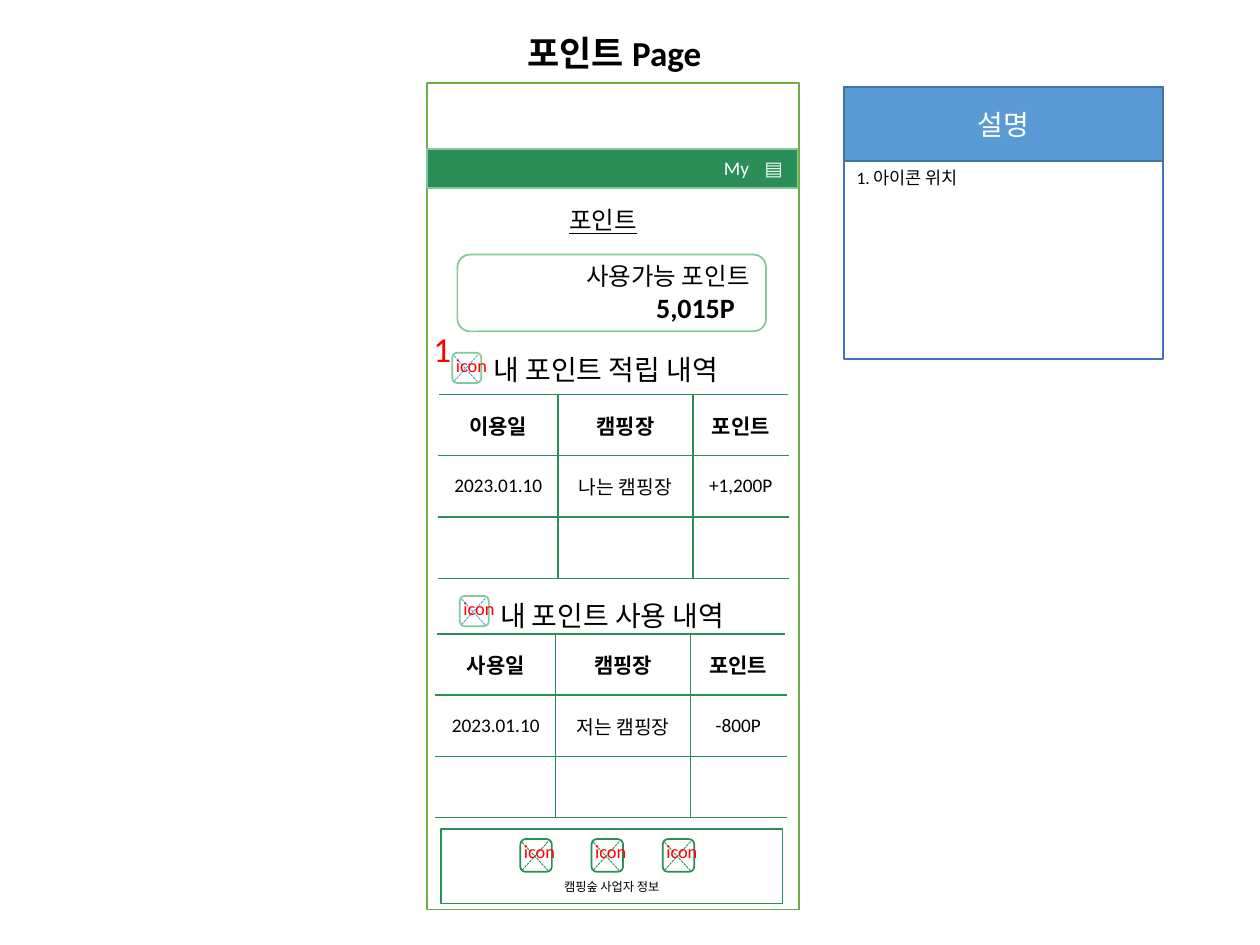
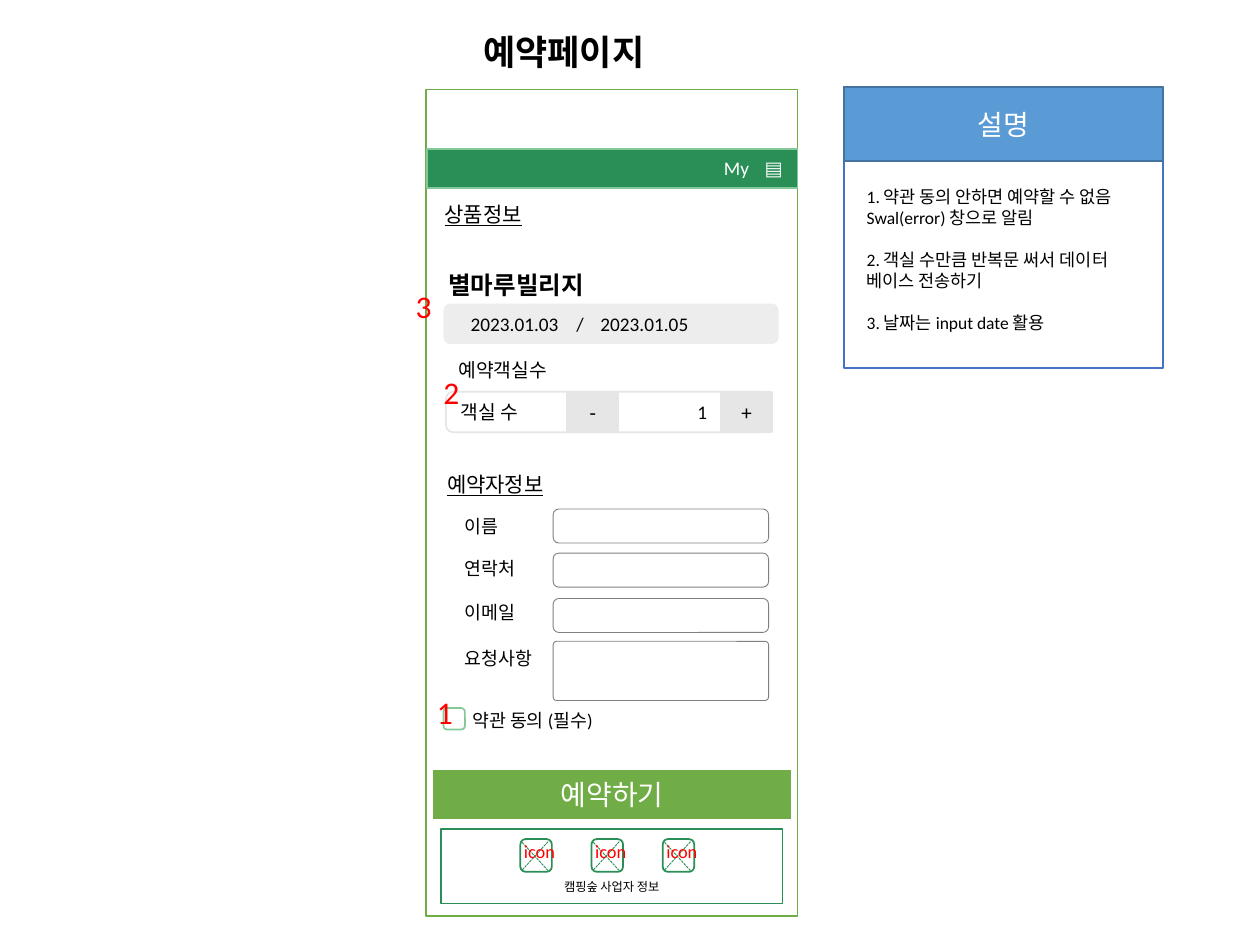
from dataclasses import dataclass

from lxml.etree import SubElement
from pptx import Presentation
from pptx.dml.color import RGBColor
from pptx.enum.dml import MSO_LINE
from pptx.enum.shapes import MSO_CONNECTOR, MSO_SHAPE
from pptx.enum.text import MSO_ANCHOR, PP_ALIGN
from pptx.oxml.ns import qn
from pptx.util import Inches, Pt

BLACK = RGBColor(0x00, 0x00, 0x00)
WHITE = RGBColor(0xFF, 0xFF, 0xFF)
RED = RGBColor(0xFF, 0x00, 0x00)
GREEN = RGBColor(0x2A, 0x8E, 0x57)
MINT = RGBColor(0x85, 0xC8, 0x9A)
LEAF = RGBColor(0x70, 0xAD, 0x47)
BLUE = RGBColor(0x5B, 0x9B, 0xD5)
DEEP_BLUE = RGBColor(0x43, 0x73, 0x9E)
NOTE_BLUE = RGBColor(0x44, 0x72, 0xC4)
PALE = RGBColor(0xED, 0xED, 0xED)
SILVER = RGBColor(0xE7, 0xE6, 0xE6)
GRAY = RGBColor(0x80, 0x80, 0x80)

FONT = "Calibri"
RECT = MSO_SHAPE.RECTANGLE
ROUND = MSO_SHAPE.ROUNDED_RECTANGLE
LEFT, CENTER, RIGHT = PP_ALIGN.LEFT, PP_ALIGN.CENTER, PP_ALIGN.RIGHT
TOP, MIDDLE = MSO_ANCHOR.TOP, MSO_ANCHOR.MIDDLE


@dataclass
class Box:
    left: float
    top: float
    width: float
    height: float

    def inner(self, dx, dy, width, height):
        return Box(self.left + dx, self.top + dy, width, height)

    def lengths(self):
        return [Inches(n) for n in (self.left, self.top, self.width, self.height)]


@dataclass
class Line:
    text: str
    size: float
    color: RGBColor = BLACK
    bold: bool = False
    underline: bool = False
    align: PP_ALIGN = LEFT
    indent: float = 0
    before: float = 0
    tabs: tuple = ()


def write(frame, lines, anchor=TOP):
    frame.word_wrap = True
    frame.vertical_anchor = anchor
    for number, line in enumerate(lines):
        para = frame.add_paragraph() if number else frame.paragraphs[0]
        para.alignment = line.align
        if line.before:
            para.space_before = Pt(line.before)
        properties = para._p.get_or_add_pPr()
        if line.indent:
            properties.set("marL", str(Inches(line.indent)))
        if line.tabs:
            stops = SubElement(properties, qn("a:tabLst"))
            for stop in line.tabs:
                SubElement(stops, qn("a:tab"), pos=str(Inches(stop)), algn="l")
        span = para.add_run()
        span.text = line.text
        span.font.name = FONT
        span.font.size = Pt(line.size)
        span.font.color.rgb = line.color
        span.font.bold = line.bold
        span.font.underline = line.underline


def add_panel(host, kind, box, fill=None, border=None, weight=1, lines=(), anchor=MIDDLE):
    shape = host.add_shape(kind, *box.lengths())
    shape.shadow.inherit = False
    if fill is None:
        shape.fill.background()
    else:
        shape.fill.solid()
        shape.fill.fore_color.rgb = fill
    if border is None:
        shape.line.fill.background()
    else:
        shape.line.color.rgb = border
        shape.line.width = Pt(weight)
    write(shape.text_frame, lines, anchor)
    return shape


def add_label(host, box, *lines):
    label = host.add_textbox(*box.lengths())
    write(label.text_frame, lines)
    return label


def add_icon(page, box, border, cross):
    icon = page.shapes.add_group_shape().shapes
    add_panel(icon, ROUND, box, WHITE, border)
    near, far = box.left + 0.01, box.left + box.width - 0.03
    high, low = box.top + 0.02, box.top + box.height - 0.01
    for start, end in ((low, high), (high, low)):
        stroke = icon.add_connector(MSO_CONNECTOR.STRAIGHT, Inches(far), Inches(start),
                                    Inches(near), Inches(end))
        stroke.line.color.rgb = cross
        stroke.line.width = Pt(0.5)
        stroke.line.dash_style = MSO_LINE.SQUARE_DOT
        SubElement(stroke._element.spPr, qn("a:effectLst"))
    add_label(icon, box.inner(-0.07, -0.04, box.width * 1.96, box.height + 0.04),
              Line("icon", 10.5, RED))


def add_title(page, box, text):
    add_label(page.shapes, box, Line(text, 20, bold=True, align=CENTER))


def add_marker(page, box, number, size=18):
    add_label(page.shapes, box, Line(number, size, RED))


def add_notes(page, box):
    add_panel(page.shapes, RECT, box, WHITE, NOTE_BLUE)
    add_panel(page.shapes, RECT, box.inner(0, 0, box.width, 0.59), BLUE, DEEP_BLUE,
              lines=[Line("설명", 16, WHITE, align=CENTER)])


def add_menu_bar(page, box):
    add_panel(page.shapes, RECT, box, GREEN, MINT)
    for text, dx, width in (("My", 2.22, 0.47), ("▤", 2.58, 0.32)):
        add_panel(page.shapes, RECT, box.inner(dx, 0.02, width, 0.26), border=GREEN,
                  lines=[Line(text, 11, WHITE, align=CENTER)])


def add_footer(page, box):
    footer = add_panel(page.shapes, RECT, box, WHITE, GREEN, anchor=TOP,
                       lines=[Line("캠핑숲 사업자 정보", 7, align=CENTER)])
    footer.text_frame.margin_top = Inches(0.4)
    for column in range(3):
        add_icon(page, box.inner(0.63 + column * 0.565, 0.08, 0.25, 0.26), GREEN, GREEN)


def add_phone(page, screen):
    add_panel(page.shapes, RECT, screen, WHITE, LEAF)
    add_menu_bar(page, Box(3.39, 1.18, 2.94, 0.31))
    add_footer(page, Box(3.5, 6.58, 2.71, 0.59))


def set_borders(cell, colors):
    properties = cell._tc.get_or_add_tcPr()
    for side, color in zip("LRTB", colors):
        edge = SubElement(properties, qn(f"a:ln{side}"), w=str(Pt(1)))
        paint = SubElement(edge, qn("a:solidFill"))
        SubElement(paint, qn("a:srgbClr"), val=str(color))


def add_history(page, box, rows):
    widths = (0.95, 1.07, 0.76)
    table = page.shapes.add_table(3, 3, *box.lengths()).table
    table.first_row = table.horz_banding = False
    for column, width in zip(table.columns, widths):
        column.width = Inches(width)
    for r, values in enumerate(rows):
        for c, value in enumerate(values):
            cell = table.cell(r, c)
            set_borders(cell, (WHITE if c == 0 else GREEN, WHITE if c == 2 else GREEN,
                               GREEN, GREEN))
            cell.fill.background()
            cell.vertical_anchor = MIDDLE
            if value:
                line = Line(value, 11 if r else 12, bold=r == 0, align=CENTER)
                write(cell.text_frame, [line], MIDDLE)


def add_balance(page, box):
    add_panel(page.shapes, ROUND, box, WHITE, MINT, lines=[
        Line("사용가능 포인트", 14, align=RIGHT),
        Line("5,015P", 16, bold=True, indent=1.45)])


def add_stay(page, box):
    host = page.shapes
    add_label(host, box.inner(0, 0, 0.88, 0.3), Line("상품정보", 12, underline=True))
    add_panel(host, RECT, box.inner(0.03, 0.54, 2.74, 0.34), WHITE, anchor=TOP,
              lines=[Line("별마루빌리지", 14, bold=True)])
    dates = add_panel(host, ROUND, box.inner(0.09, 0.86, 2.66, 0.32), PALE, anchor=TOP,
                      lines=[Line("2023.01.03\t/\t2023.01.05", 11, tabs=(0.84, 1.03))])
    dates.text_frame.margin_left = Inches(0.2)
    add_label(host, box.inner(0.11, 1.24, 2.58, 0.29), Line("예약객실수", 11))
    add_panel(host, ROUND, box.inner(0.11, 1.56, 2.58, 0.32), border=SILVER, anchor=TOP,
              lines=[Line("객실 수\t1", 11, tabs=(1.88,))])
    for sign, dx in (("-", 1.07), ("+", 2.29)):
        add_panel(host, RECT, box.inner(dx, 1.56, 0.41, 0.32), SILVER, SILVER,
                  lines=[Line(sign, 12, align=CENTER)])


def add_guest_form(page, box):
    host = page.shapes
    add_label(host, box.inner(0, 0, 1.04, 0.3), Line("예약자정보", 12, underline=True))
    fields = (("이름", 0.35, 0.35, 0.27), ("연락처", 0.68, 0.7, 0.27),
              ("이메일", 1.03, 1.06, 0.27), ("요청사항", 1.4, 1.4, 0.47))
    for name, label_top, field_top, height in fields:
        add_label(host, box.inner(0.14, label_top, 1.16, 0.29), Line(name, 10.5))
        field = add_panel(host, ROUND, box.inner(0.94, field_top, 1.71, height),
                          WHITE, GRAY, 0.5)
        if height > 0.3:
            field.adjustments[0] = 0.06
    terms = add_label(host, box.inner(0.04, 1.89, 2.38, 0.28), Line("약관 동의 (필수)", 10.5))
    terms.text_frame.margin_left = Inches(0.26)
    add_panel(host, ROUND, box.inner(0.07, 1.93, 0.17, 0.17), WHITE, MINT)


def build_points_page(page):
    add_phone(page, Box(3.39, 0.66, 2.95, 6.56))
    add_title(page, Box(2.8, 0.2, 4.15, 0.44), "포인트 Page")
    add_notes(page, Box(6.7, 0.69, 2.53, 2.16))
    add_label(page.shapes, Box(6.7, 1.28, 2.53, 0.3), Line("1. 아이콘 위치", 10))
    add_label(page.shapes, Box(4.42, 1.58, 0.79, 0.34), Line("포인트", 14, underline=True))
    add_balance(page, Box(3.63, 2.02, 2.45, 0.61))
    histories = (
        ("내 포인트 적립 내역", Box(3.82, 2.75, 2.26, 0.37), Box(3.59, 2.8, 0.23, 0.24),
         Box(3.48, 3.13, 2.78, 1.46), "이용일", "나는 캠핑장", "+1,200P"),
        ("내 포인트 사용 내역", Box(3.87, 4.7, 2.21, 0.37), Box(3.65, 4.73, 0.23, 0.24),
         Box(3.46, 5.03, 2.78, 1.46), "사용일", "저는 캠핑장", "-800P"))
    for heading, heading_box, icon_box, table_box, day, camp, points in histories:
        add_history(page, table_box, ((day, "캠핑장", "포인트"),
                                      ("2023.01.10", camp, points), ("", "", "")))
        add_label(page.shapes, heading_box, Line(heading, 16))
        add_icon(page, icon_box, MINT, BLUE)
    add_marker(page, Box(3.34, 2.55, 0.58, 0.44), "1", 20)


def build_booking_page(page):
    add_phone(page, Box(3.38, 0.71, 2.95, 6.56))
    add_title(page, Box(2.4, 0.19, 4.15, 0.44), "예약페이지")
    add_notes(page, Box(6.7, 0.69, 2.53, 2.23))
    add_label(page.shapes, Box(6.78, 1.43, 2.41, 1.28),
              Line("1. 약관 동의 안하면 예약할 수 없음", 10),
              Line("Swal(error) 창으로 알림", 10),
              Line("2. 객실 수만큼 반복문 써서 데이터 베이스 전송하기", 10, before=12),
              Line("3. 날짜는 input date 활용", 10, before=12))
    add_stay(page, Box(3.43, 1.55, 2.77, 1.88))
    add_guest_form(page, Box(3.45, 3.69, 2.65, 2.17))
    add_panel(page.shapes, RECT, Box(3.43, 6.1, 2.86, 0.41), LEAF, WHITE, 1.5,
              [Line("예약하기", 16, WHITE, align=CENTER)])
    for number, left, top in (("1", 3.37, 5.45), ("2", 3.42, 2.91), ("3", 3.2, 2.23)):
        add_marker(page, Box(left, top, 0.37, 0.4), number)


def main():
    deck = Presentation()
    deck.slide_width, deck.slide_height = Inches(10), Inches(7.5)
    for build in (build_points_page, build_booking_page):
        build(deck.slides.add_slide(deck.slide_layouts[6]))
    deck.save("out.pptx")


if __name__ == "__main__":
    main()
